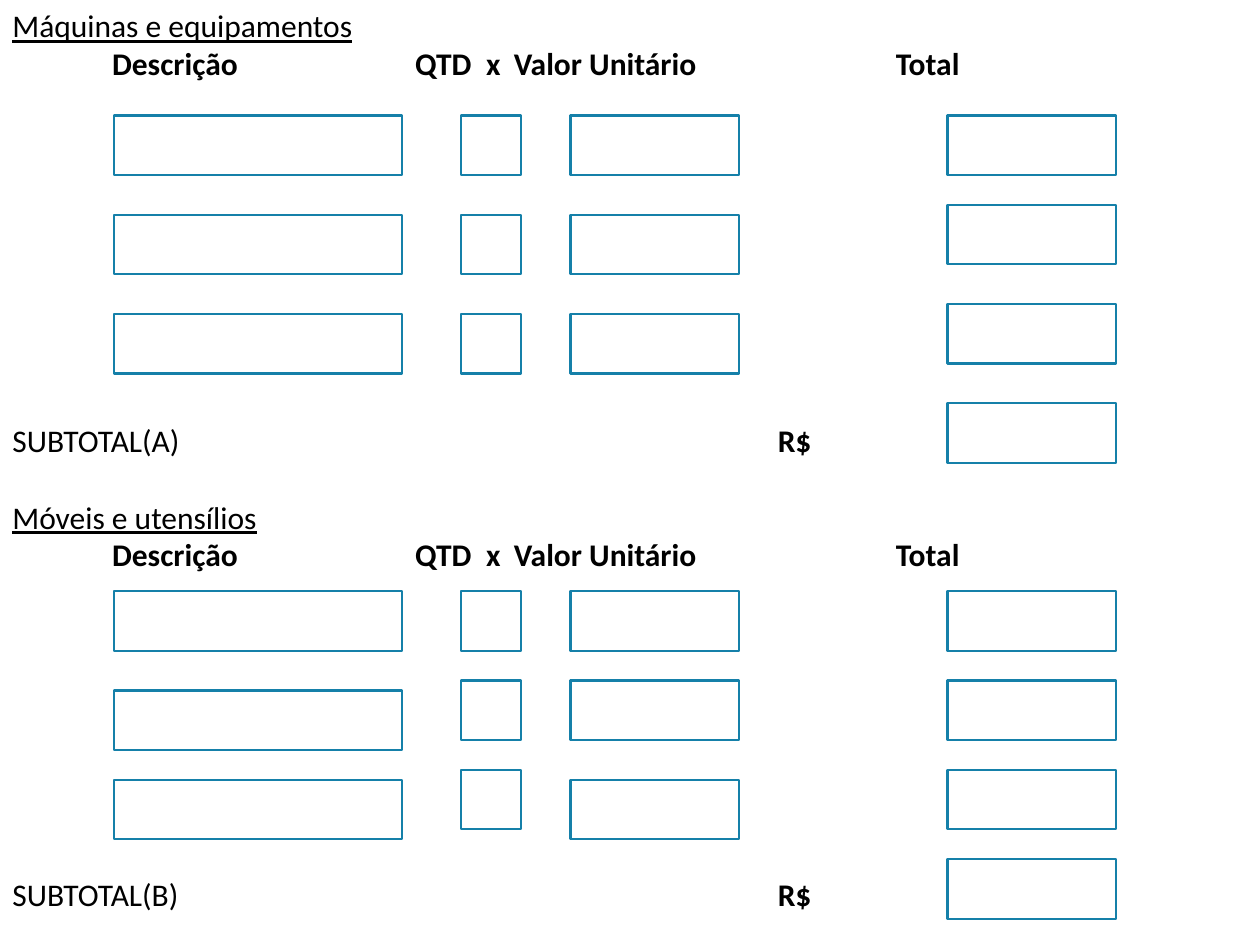
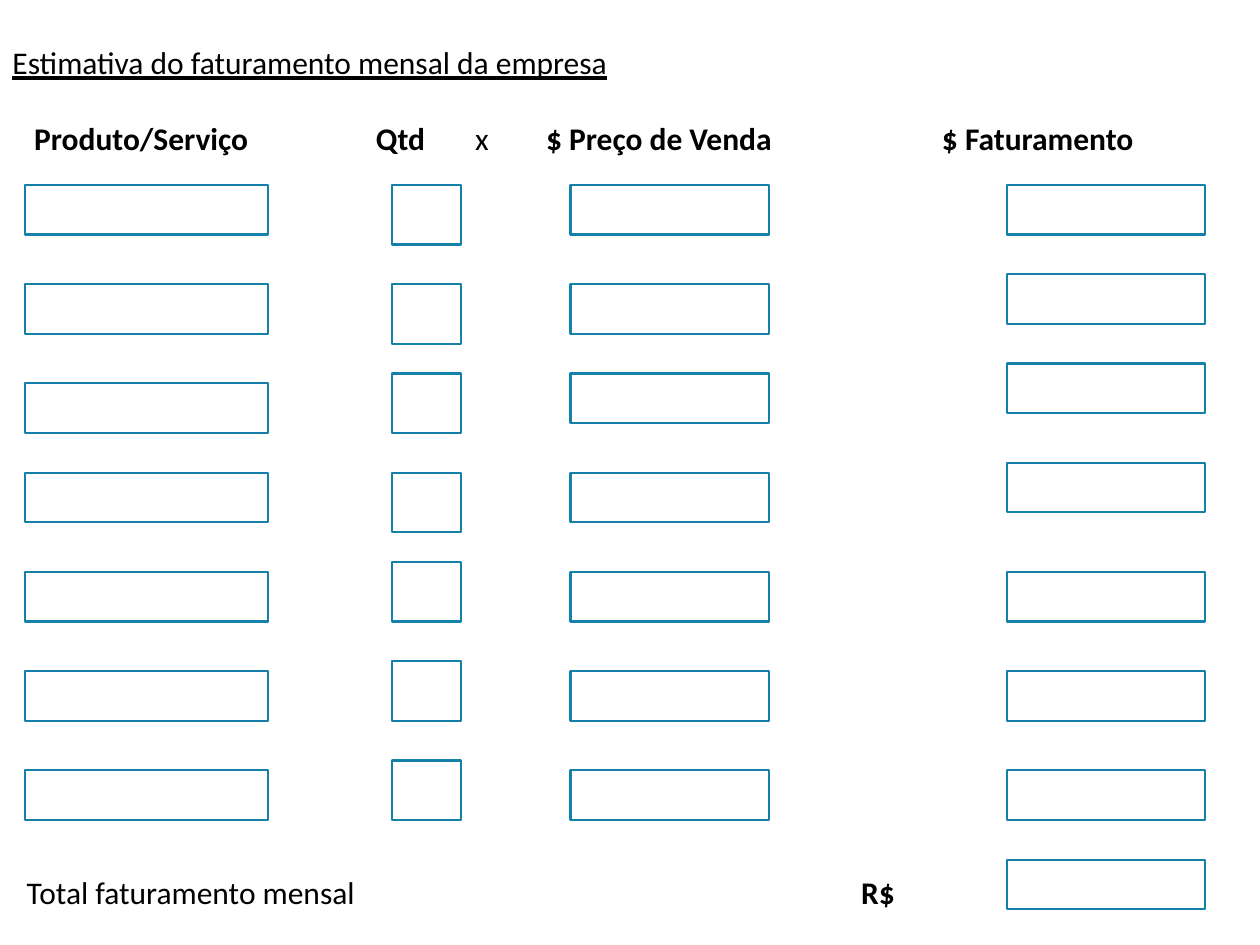
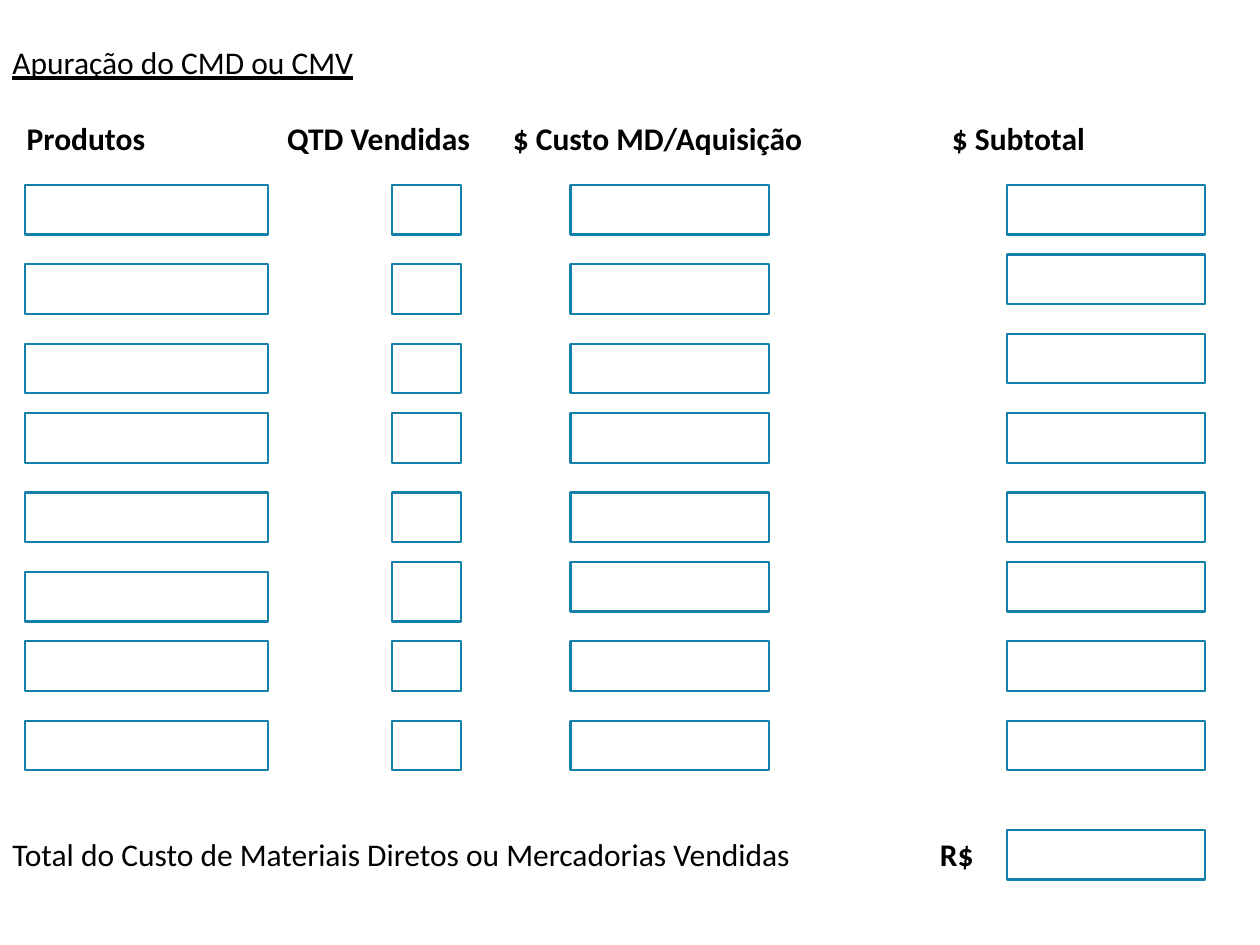
from dataclasses import dataclass

import pptx
import pptx.dml.color
import pptx.enum.shapes
import pptx.enum.text
import pptx.oxml.ns
import pptx.util
from lxml import etree
from pptx.util import Cm


@dataclass(frozen=True)
class Theme:
    font: str = "Calibri"
    size: int = 18
    ink: str = "000000"
    field_line: str = "1580A9"
    field_line_width: float = 1.25
    inset: float = 0.25
    inset_top: float = 0.13
    line_pitch: float = 0.76
    page_width: float = 25.4
    page_height: float = 19.05


THEME = Theme()

# All lengths are in centimetres. Labels are (text start, text, bold).
# Columns are (left, width, height, offsets of the fields below "first_field").
ASSET_LABELS = [(2.26, "Descrição", True), (8.37, "QTD", True), (9.8, "x", True),
                (10.36, "Valor Unitário", True), (18.06, "Total", True)]
SALES_ROWS = [0, 2, 3.8, 5.8, 7.8, 9.8, 11.8]
COST_ROWS = [0, 1.6, 3.2, 4.6, 6.2, 7.6, 9.2, 10.8]

SLIDES = [
    [
        dict(
            heading="Máquinas e equipamentos", top=0,
            labels=ASSET_LABELS, labels_line=1,
            total=[(0.25, "SUBTOTAL(A)", False), (15.68, "R$", True)], total_line=11,
            first_field=2.33,
            columns=[(2.3, 5.8, 1.2, [0, 2, 4]), (9.3, 1.2, 1.2, [0, 2, 4]),
                     (11.5, 3.4, 1.2, [0, 2, 4]), (19.1, 3.4, 1.2, [0, 1.8, 3.8, 5.8])],
        ),
        dict(
            heading="Móveis e utensílios", top=9.9,
            labels=ASSET_LABELS, labels_line=1,
            total=[(0.25, "SUBTOTAL(B)", False), (15.68, "R$", True)], total_line=10,
            first_field=11.92,
            columns=[(2.3, 5.8, 1.2, [0, 2, 3.8]), (9.3, 1.2, 1.2, [0, 1.8, 3.6]),
                     (11.5, 3.4, 1.2, [0, 1.8, 3.8]), (19.1, 3.4, 1.2, [0, 1.8, 3.6, 5.4])],
        ),
    ],
    [
        dict(
            heading="Estimativa do faturamento mensal da empresa", top=0.74,
            labels=[(0.69, "Produto/Serviço", True), (7.58, "Qtd", True), (9.58, "x", False),
                    (11.01, "$ Preço de Venda", True), (18.99, "$ Faturamento", True)],
            labels_line=2,
            total=[(0.54, "Total faturamento mensal", False), (17.36, "R$", True)],
            total_line=22,
            first_field=3.73,
            columns=[(0.5, 4.9, 1, [0, 2, 4, 5.8, 7.8, 9.8, 11.8]),
                     (7.9, 1.4, 1.2, [0, 2, 3.8, 5.8, 7.6, 9.6, 11.6]),
                     (11.5, 4, 1, SALES_ROWS),
                     (20.3, 4, 1, [0, 1.8, 3.6, 5.6, 7.8, 9.8, 11.8, 13.6])],
        ),
    ],
    [
        dict(
            heading="Apuração do CMD ou CMV", top=0.74,
            labels=[(0.54, "Produtos", True), (5.79, "QTD Vendidas", True),
                    (10.34, "$ Custo MD/Aquisição", True), (19.19, "$ Subtotal", True)],
            labels_line=2,
            total=[(0.25, "Total do Custo de Materiais Diretos ou Mercadorias Vendidas", False),
                   (18.95, "R$", True)],
            total_line=21,
            first_field=3.73,
            columns=[(0.5, 4.9, 1, [0, 1.6, 3.2, 4.6, 6.2, 7.8, 9.2, 10.8]),
                     (7.9, 1.4, 1, [0, 1.6, 3.2, 4.6, 6.2, 9.2, 10.8]),
                     (7.9, 1.4, 1.2, [7.6]),
                     (11.5, 4, 1, COST_ROWS),
                     (20.3, 4, 1, [0, 1.4, 3, 4.6, 6.2, 7.6, 9.2, 10.8, 13])],
        ),
    ],
]


def add_run(paragraph, text, *, bold=False, underline=False):
    run = paragraph.add_run()
    run.text = text
    font = run.font
    font.name = THEME.font
    font.size = pptx.util.Pt(THEME.size)
    font.bold = bold
    font.underline = underline
    font.color.rgb = pptx.dml.color.RGBColor.from_string(THEME.ink)


def place_line(box, text_left, top):
    """Put a one-line box where its text starts at text_left; return its paragraph."""
    left = text_left - THEME.inset
    box.left, box.top = Cm(left), Cm(top)
    box.width, box.height = Cm(THEME.page_width - left), Cm(1)
    frame = box.text_frame
    frame.word_wrap = True
    frame.auto_size = pptx.enum.text.MSO_AUTO_SIZE.NONE
    frame.vertical_anchor = pptx.enum.text.MSO_ANCHOR.TOP
    frame.margin_left, frame.margin_right = Cm(THEME.inset), Cm(0)
    frame.margin_top = frame.margin_bottom = Cm(THEME.inset_top)
    paragraph = frame.paragraphs[0]
    paragraph.alignment = pptx.enum.text.PP_ALIGN.LEFT
    return paragraph


def new_text_box(slide):
    return slide.shapes.add_textbox(0, 0, Cm(1), Cm(1))


def add_label_line(slide, labels, top):
    """Write labels on one line, each after the first at its own tab stop."""
    start = labels[0][0]
    paragraph = place_line(new_text_box(slide), start, top)
    qn = pptx.oxml.ns.qn
    stops = etree.SubElement(paragraph._p.get_or_add_pPr(), qn("a:tabLst"))
    for left, _, _ in labels[1:]:
        etree.SubElement(stops, qn("a:tab"), pos=str(Cm(left - start)), algn="l")
    for index, (_, text, bold) in enumerate(labels):
        add_run(paragraph, "\t" + text if index else text, bold=bold)


def add_field(slide, left, top, width, height):
    field = slide.shapes.add_shape(pptx.enum.shapes.MSO_SHAPE.RECTANGLE,
                                   Cm(left), Cm(top), Cm(width), Cm(height))
    field.shadow.inherit = False
    field.fill.background()
    field.line.color.rgb = pptx.dml.color.RGBColor.from_string(THEME.field_line)
    field.line.width = pptx.util.Pt(THEME.field_line_width)


def add_section(slide, section, heading_box):
    top = section["top"]
    heading = place_line(heading_box, THEME.inset, top)
    add_run(heading, section["heading"], underline=True)
    for part in ("labels", "total"):
        add_label_line(slide, section[part], top + section[part + "_line"] * THEME.line_pitch)
    for left, width, height, offsets in section["columns"]:
        for offset in offsets:
            add_field(slide, left, section["first_field"] + offset, width, height)


def main():
    deck = pptx.Presentation()
    deck.slide_width, deck.slide_height = Cm(THEME.page_width), Cm(THEME.page_height)
    title_only = deck.slide_layouts[5]
    for sections in SLIDES:
        slide = deck.slides.add_slide(title_only)
        for index, section in enumerate(sections):
            add_section(slide, section, new_text_box(slide) if index else slide.shapes.title)
    deck.save("out.pptx")


if __name__ == "__main__":
    main()
